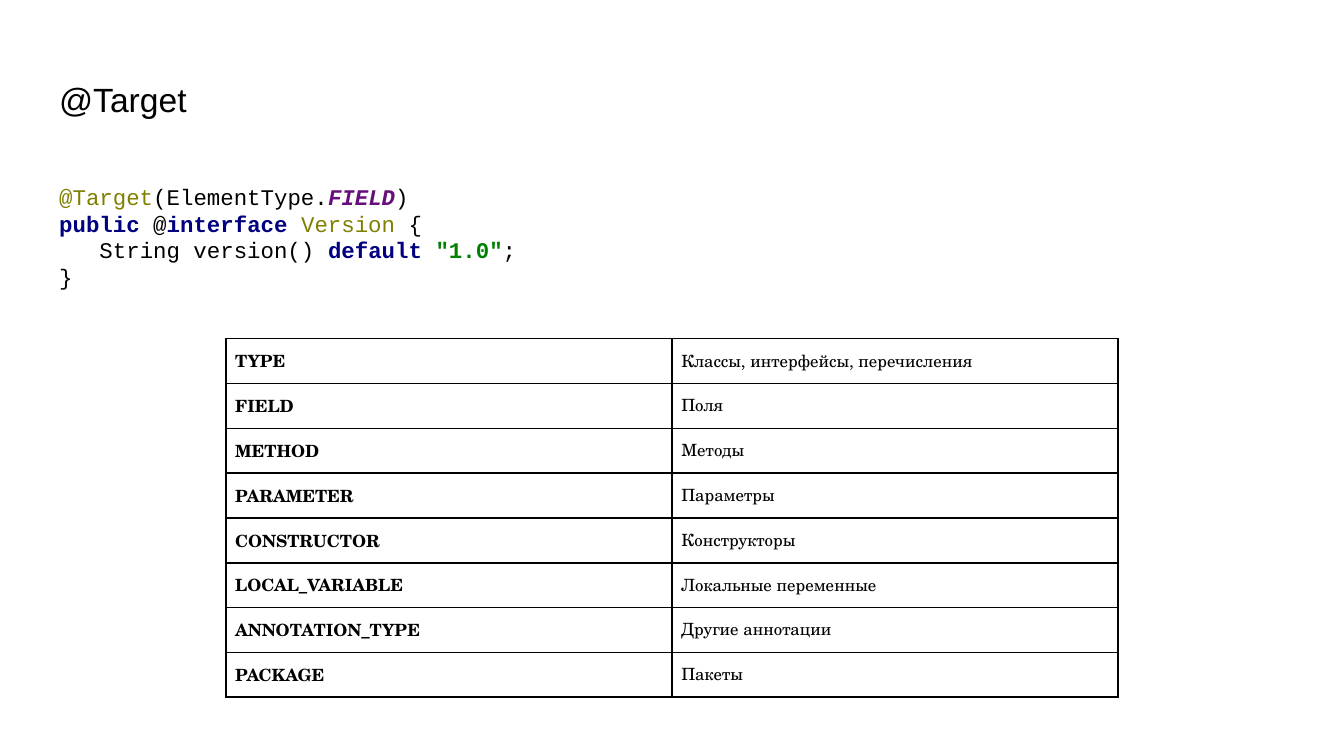
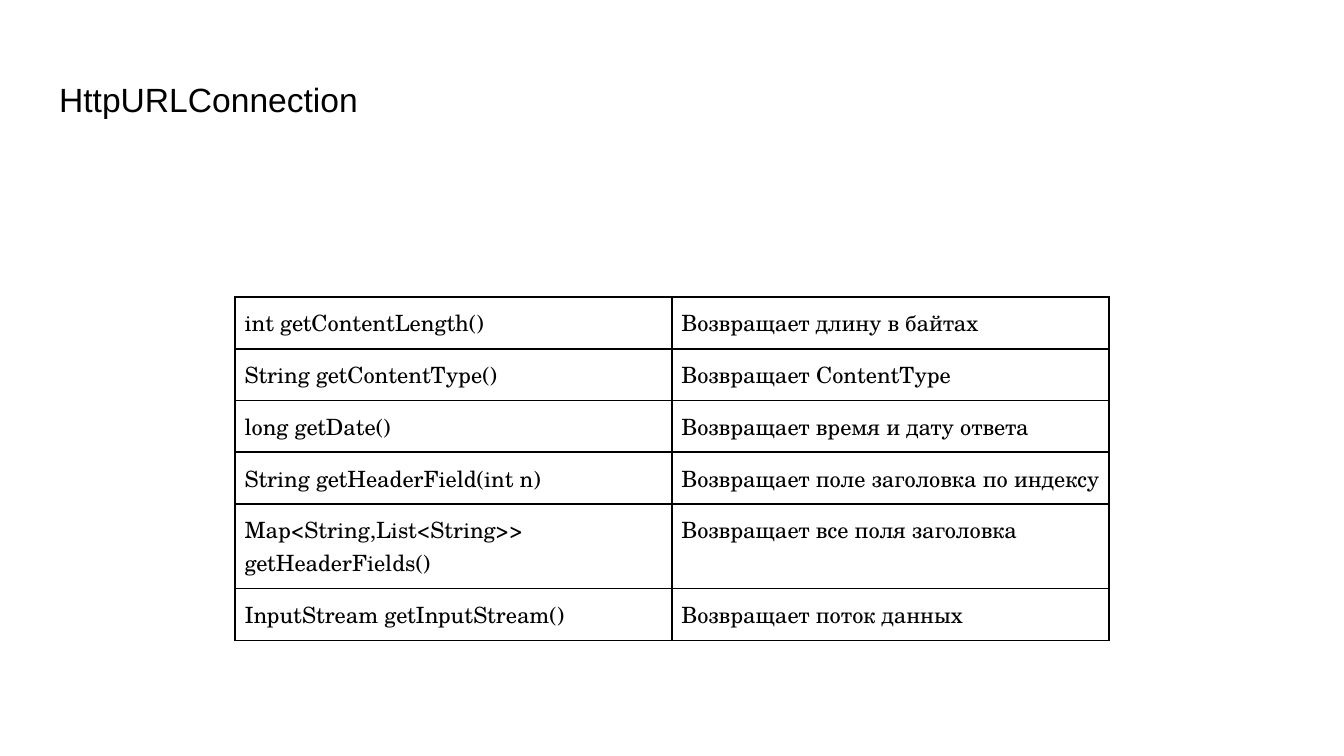
from lxml.etree import SubElement
from pptx import Presentation
from pptx.dml.color import RGBColor
from pptx.enum.text import MSO_ANCHOR, MSO_AUTO_SIZE, PP_ALIGN
from pptx.oxml.ns import qn
from pptx.util import Inches, Pt

COLORS = {
    "text": "000000",
    "annotation": "808000",
    "keyword": "000080",
    "constant": "660E7A",
    "string": "008000",
}
TITLE_FONT, CODE_FONT, TABLE_FONT = "Arial", "Courier New", "TeX Gyre Schola"
TITLE_AND_BODY, TITLE_ONLY = 1, 5
MARGIN, CONTENT_WIDTH = 0.34, 9.32


def add_text(paragraph, text, font=TABLE_FONT, size=12, color="text", bold=False, italic=False):
    run = paragraph.add_run()
    run.text = text
    run.font.name = font
    run.font.size = Pt(size)
    run.font.color.rgb = RGBColor.from_string(COLORS[color])
    run.font.bold = bold
    run.font.italic = italic


class Deck:
    def __init__(self):
        self.presentation = Presentation()
        self.presentation.slide_width = Inches(10)
        self.presentation.slide_height = Inches(10 * 9 / 16)
        self.slide = None

    def add_slide(self, title, layout):
        self.slide = self.presentation.slides.add_slide(self.presentation.slide_layouts[layout])
        frame = self.place(self.slide.shapes.title, top=0.49, height=0.63)
        heading = frame.paragraphs[0]
        heading.alignment = PP_ALIGN.LEFT
        add_text(heading, title, font=TITLE_FONT, size=18)

    def place(self, placeholder, top, height):
        placeholder.left, placeholder.top = Inches(MARGIN), Inches(top)
        placeholder.width, placeholder.height = Inches(CONTENT_WIDTH), Inches(height)
        frame = placeholder.text_frame
        frame.word_wrap = True
        frame.auto_size = MSO_AUTO_SIZE.NONE
        frame.vertical_anchor = MSO_ANCHOR.TOP
        frame.margin_left = frame.margin_right = Inches(0.1)
        frame.margin_top = frame.margin_bottom = Inches(0.1)
        return frame

    def add_code(self, lines):
        """Each line is an indent in inches and a list of (text, format)."""
        frame = self.place(self.slide.placeholders[1], top=1.26, height=3.74)
        for number, (indent, parts) in enumerate(lines):
            line = frame.add_paragraph() if number else frame.paragraphs[0]
            line.alignment = PP_ALIGN.LEFT
            line.line_spacing = 1.0
            line.space_before = line.space_after = Pt(0)
            properties = line._p.get_or_add_pPr()
            properties.set("marL", str(Inches(indent)))
            properties.set("indent", "0")
            SubElement(properties, qn("a:buNone"))
            for text, style in parts:
                add_text(line, text, font=CODE_FONT, **style)

    def add_table(self, rows, left, top, column_width, row_heights, size, bold_names=False):
        table = self.slide.shapes.add_table(
            len(rows), 2, Inches(left), Inches(top),
            Inches(2 * column_width), Inches(sum(row_heights)),
        ).table
        table.first_row = table.horz_banding = False
        for column in table.columns:
            column.width = Inches(column_width)
        for row, height, texts in zip(table.rows, row_heights, rows):
            row.height = Inches(height)
            for index, (cell, text) in enumerate(zip(row.cells, texts)):
                self.format_cell(cell)
                add_text(cell.text_frame.paragraphs[0], text, size=size,
                         bold=bold_names and index == 0)

    def format_cell(self, cell):
        cell.margin_left = cell.margin_top = cell.margin_bottom = Inches(0.07)
        cell.margin_right = Inches(0.06)  # keeps the longest description on one line
        cell.vertical_anchor = MSO_ANCHOR.TOP
        properties = cell._tc.get_or_add_tcPr()
        for side in ("lnL", "lnR", "lnT", "lnB"):
            border = SubElement(properties, qn(f"a:{side}"), w=str(Pt(1)))
            fill = SubElement(border, qn("a:solidFill"))
            SubElement(fill, qn("a:srgbClr"), val=COLORS["text"])
        cell.fill.background()


PLAIN = {}
ANNOTATION = {"color": "annotation"}
KEYWORD = {"color": "keyword", "bold": True}
CONSTANT = {"color": "constant", "bold": True, "italic": True}
STRING = {"color": "string", "bold": True}

VERSION_CODE = [
    (0, [("@Target", ANNOTATION), ("(ElementType.", PLAIN), ("FIELD", CONSTANT), (")", PLAIN)]),
    (0, [("public ", KEYWORD), ("@", PLAIN), ("interface ", KEYWORD),
         ("Version ", ANNOTATION), ("{", PLAIN)]),
    (0.3, [("String version() ", PLAIN), ("default ", KEYWORD), ('"1.0"', STRING), (";", PLAIN)]),
    (0, [("}", PLAIN)]),
]

ELEMENT_TYPES = [
    ("TYPE", "Классы, интерфейсы, перечисления"),
    ("FIELD", "Поля"),
    ("METHOD", "Методы"),
    ("PARAMETER", "Параметры"),
    ("CONSTRUCTOR", "Конструкторы"),
    ("LOCAL_VARIABLE", "Локальные переменные"),
    ("ANNOTATION_TYPE", "Другие аннотации"),
    ("PACKAGE", "Пакеты"),
]

CONNECTION_METHODS = [
    ("int getContentLength()", "Возвращает длину в байтах"),
    ("String getContentType()", "Возвращает ContentType"),
    ("long getDate()", "Возвращает время и дату ответа"),
    ("String getHeaderField(int n)", "Возвращает поле заголовка по индексу"),
    ("Map<String,List<String>> getHeaderFields()", "Возвращает все поля заголовка"),
    ("InputStream getInputStream()", "Возвращает поток данных"),
]


def main():
    deck = Deck()

    # Annotation targets
    deck.add_slide("@Target", TITLE_AND_BODY)
    deck.add_code(VERSION_CODE)
    type_count = len(ELEMENT_TYPES)
    deck.add_table(ELEMENT_TYPES, left=1.68, top=2.52, column_width=3.32,
                   row_heights=[2.66 / type_count] * type_count, size=9, bold_names=True)

    # Connection methods
    deck.add_slide("HttpURLConnection", TITLE_ONLY)
    deck.add_table(CONNECTION_METHODS, left=1.75, top=2.21, column_width=3.25,
                   row_heights=[0.38, 0.38, 0.38, 0.38, 0.63, 0.38], size=12)

    deck.presentation.save("out.pptx")


if __name__ == "__main__":
    main()
